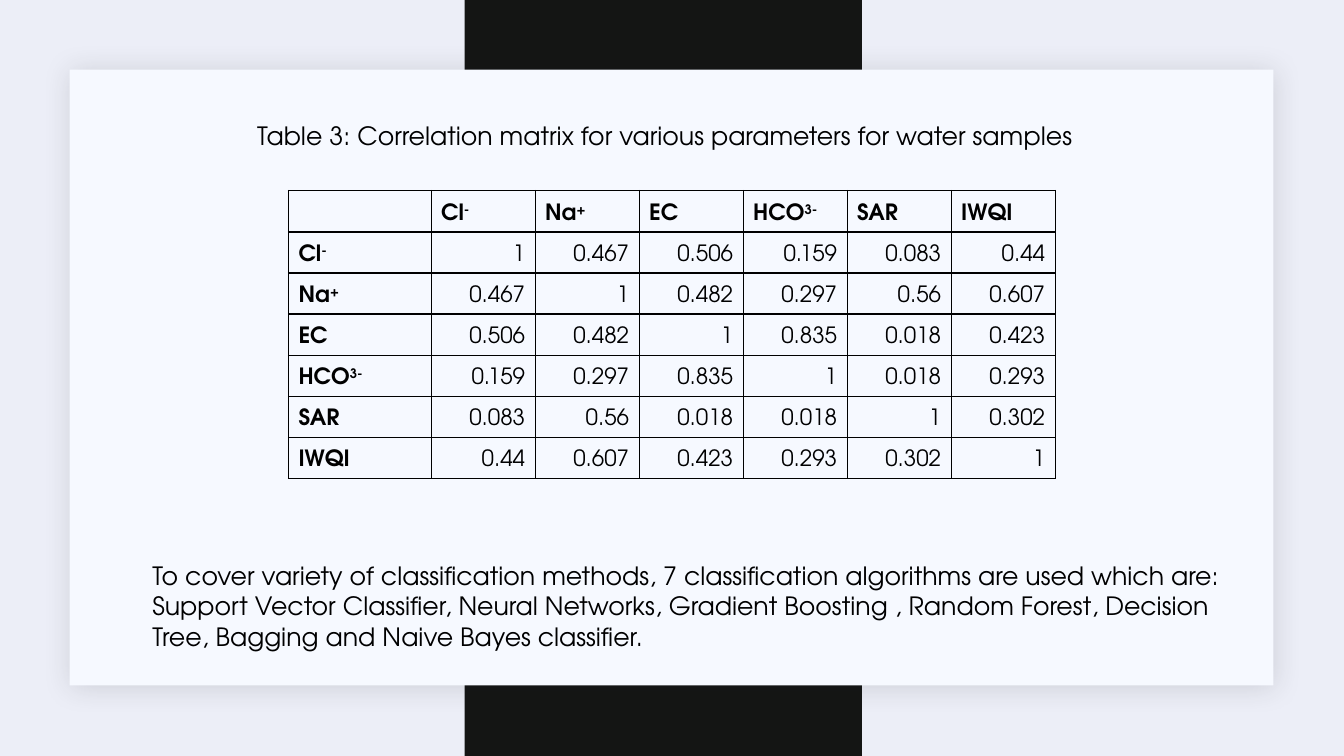
from typing import NamedTuple

from lxml import etree
from pptx import Presentation
from pptx import util as u
from pptx.dml.color import RGBColor
from pptx.enum import shapes, text
from pptx.oxml import ns

SLIDE_WIDTH, SLIDE_HEIGHT = u.Inches(13.33), u.Inches(7.5)
FONT = "TeX Gyre Adventor"
COLOURS = {
    "backdrop": "ECEEF7",
    "band": "141514",
    "card": "F6F9FF",
    "shadow": "1F2125",
    "ink": "000000",
}
CAPTION = "Table 3: Correlation matrix for various parameters for water samples"
METHODS = (
    "To cover variety of classification methods, 7 classification algorithms are used "
    "which are: Support Vector Classifier, Neural Networks, Gradient Boosting , Random "
    "Forest, Decision Tree, Bagging and Naive Bayes classifier."
)


class Area(NamedTuple):
    left: float
    top: float
    width: float
    height: float


class Panel(NamedTuple):
    area: Area
    colour: str
    shadowed: bool


class Passage(NamedTuple):
    area: Area
    wording: str


class Parameter(NamedTuple):
    symbol: str
    charge: str
    correlations: tuple[str, ...]


PANELS = (
    Panel(Area(34.58, 0, 29.56, 100), "band", False),
    Panel(Area(5.18, 9.2, 89.57, 81.47), "card", True),
)
PASSAGES = (
    Passage(Area(18.38, 15.2, 63.24, 5.33), CAPTION),
    Passage(Area(10.58, 73.47, 81.4, 13.47), METHODS),
)
MATRIX_AREA = Area(21.46, 25.2, 57.06, 38)
LABEL_WIDTH = 10.62
PARAMETERS = (
    Parameter("Cl", "-", ("1", "0.467", "0.506", "0.159", "0.083", "0.44")),
    Parameter("Na", "+", ("0.467", "1", "0.482", "0.297", "0.56", "0.607")),
    Parameter("EC", "", ("0.506", "0.482", "1", "0.835", "0.018", "0.423")),
    Parameter("HCO", "3-", ("0.159", "0.297", "0.835", "1", "0.018", "0.293")),
    Parameter("SAR", "", ("0.083", "0.56", "0.018", "0.018", "1", "0.302")),
    Parameter("IWQI", "", ("0.44", "0.607", "0.423", "0.293", "0.302", "1")),
)


def across(share: float) -> int:
    return round(SLIDE_WIDTH * share / 100)


def down(share: float) -> int:
    return round(SLIDE_HEIGHT * share / 100)


def frame(area: Area) -> tuple[int, int, int, int]:
    return across(area.left), down(area.top), across(area.width), down(area.height)


def colour(name: str) -> RGBColor:
    return RGBColor.from_string(COLOURS[name])


def child(parent, tag: str, **attributes):
    return etree.SubElement(parent, ns.qn(tag), attributes)


def add_run(paragraph, wording: str, size: float, bold: bool = False, raised: bool = False) -> None:
    run = paragraph.add_run()
    run.text = wording
    run.font.name = FONT
    run.font.size = u.Pt(size)
    run.font.bold = bold
    run.font.color.rgb = colour("ink")
    if raised:
        run.font._element.set("baseline", "30000")


def add_panel(slide, panel: Panel) -> None:
    block = slide.shapes.add_shape(shapes.MSO_SHAPE.RECTANGLE, *frame(panel.area))
    block.shadow.inherit = False
    block.fill.solid()
    block.fill.fore_color.rgb = colour(panel.colour)
    block.line.fill.background()
    if panel.shadowed:
        effects = block._element.spPr.find(ns.qn("a:effectLst"))
        glow = child(effects, "a:outerShdw", blurRad=str(u.Pt(20)), dist=str(u.Pt(2)),
                     dir=str(45 * 60000), algn="ctr", rotWithShape="0")
        tint = child(glow, "a:srgbClr", val=COLOURS["shadow"])
        child(tint, "a:alpha", val="15000")
    slide.shapes.title._element.addprevious(block._element)


def fill_passage(placeholder, passage: Passage) -> None:
    placeholder.left, placeholder.top, placeholder.width, placeholder.height = frame(passage.area)
    body = placeholder.text_frame
    body.word_wrap = True
    body.auto_size = text.MSO_AUTO_SIZE.NONE
    body.vertical_anchor = text.MSO_ANCHOR.TOP
    paragraph = body.paragraphs[0]
    paragraph.alignment = text.PP_ALIGN.LEFT
    paragraph.space_before = u.Pt(0)
    properties = paragraph._p.get_or_add_pPr()
    properties.set("marL", "0")
    properties.set("indent", "0")
    child(properties, "a:buNone")
    add_run(paragraph, passage.wording, 18)


def format_cell(cell) -> None:
    cell.margin_left = cell.margin_right = u.Inches(0.1)
    cell.margin_top = cell.margin_bottom = u.Inches(0.07)
    cell.vertical_anchor = text.MSO_ANCHOR.BOTTOM
    properties = cell._tc.get_or_add_tcPr()
    for edge in ("a:lnL", "a:lnR", "a:lnT", "a:lnB"):
        border = child(properties, edge, w=str(u.Pt(1)))
        child(child(border, "a:solidFill"), "a:srgbClr", val=COLOURS["ink"])
    cell.fill.background()


def write_label(cell, parameter: Parameter) -> None:
    paragraph = cell.text_frame.paragraphs[0]
    add_run(paragraph, parameter.symbol, 16, bold=True)
    if parameter.charge:
        add_run(paragraph, parameter.charge, 16, bold=True, raised=True)


def add_matrix(slide) -> None:
    count = len(PARAMETERS) + 1
    matrix = slide.shapes.add_table(count, count, *frame(MATRIX_AREA)).table
    matrix.first_row = matrix.horz_banding = False
    value_width = (MATRIX_AREA.width - LABEL_WIDTH) / len(PARAMETERS)
    for index, column in enumerate(matrix.columns):
        column.width = across(value_width if index else LABEL_WIDTH)
    for row in matrix.rows:
        row.height = down(MATRIX_AREA.height / count)
    for cell in matrix.iter_cells():
        format_cell(cell)
    corner = matrix.cell(0, 0).text_frame.paragraphs[0]
    child(corner._p, "a:endParaRPr", sz="1600")
    for index, parameter in enumerate(PARAMETERS, start=1):
        write_label(matrix.cell(0, index), parameter)
        write_label(matrix.cell(index, 0), parameter)
        for position, correlation in enumerate(parameter.correlations, start=1):
            paragraph = matrix.cell(index, position).text_frame.paragraphs[0]
            paragraph.alignment = text.PP_ALIGN.RIGHT
            add_run(paragraph, correlation, 16)


def main() -> None:
    deck = Presentation()
    deck.slide_width, deck.slide_height = SLIDE_WIDTH, SLIDE_HEIGHT
    slide = deck.slides.add_slide(deck.slide_layouts[1])
    slide.background.fill.solid()
    slide.background.fill.fore_color.rgb = colour("backdrop")
    for panel in PANELS:
        add_panel(slide, panel)
    for placeholder, passage in zip(slide.placeholders, PASSAGES):
        fill_passage(placeholder, passage)
    add_matrix(slide)
    deck.save("out.pptx")


if __name__ == "__main__":
    main()
